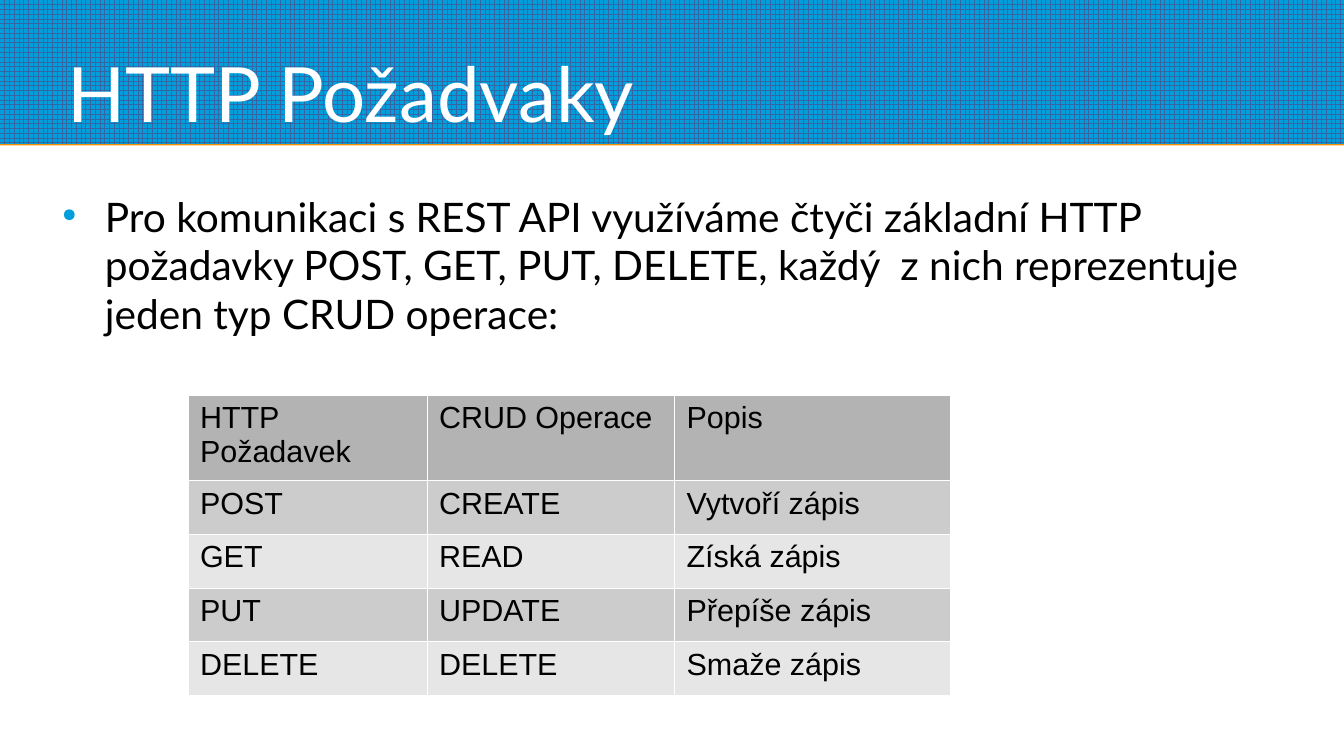
from lxml.etree import SubElement
from pptx import Presentation
from pptx.dml.color import RGBColor
from pptx.enum.dml import MSO_PATTERN
from pptx.enum.shapes import MSO_SHAPE
from pptx.enum.text import MSO_ANCHOR
from pptx.oxml.ns import qn
from pptx.util import Inches, Pt

WHITE = RGBColor(0xFF, 0xFF, 0xFF)
BLACK = RGBColor(0x00, 0x00, 0x00)
BLUE = RGBColor(0x00, 0x9E, 0xDA)
GRID_BLUE = RGBColor(0x34, 0x65, 0xA4)
ORANGE = RGBColor(0xF4, 0x91, 0x00)
HEADER_GRAY = RGBColor(0xB3, 0xB3, 0xB3)
DARK_GRAY = RGBColor(0xCC, 0xCC, 0xCC)
LIGHT_GRAY = RGBColor(0xE6, 0xE6, 0xE6)

TITLE = "HTTP Požadvaky"
INTRODUCTION = (
    "Pro komunikaci s REST API využíváme čtyči základní HTTP požadavky "
    "POST, GET, PUT, DELETE, každý  z nich reprezentuje jeden typ CRUD operace:"
)
REQUESTS = [
    ("HTTP Požadavek", "CRUD Operace", "Popis"),
    ("POST", "CREATE", "Vytvoří zápis"),
    ("GET", "READ", "Získá zápis"),
    ("PUT", "UPDATE", "Přepíše zápis"),
    ("DELETE", "DELETE", "Smaže zápis"),
]
COLUMN_WIDTHS = (1.96, 2.03, 2.26)
ROW_HEIGHT = 0.44


def add_element(parent, tag, **attributes):
    return SubElement(parent, qn(tag), attributes)


def add_run(paragraph, text, size, font_name, color):
    run = paragraph.add_run()
    run.text = text
    run.font.size = Pt(size)
    run.font.name = font_name
    run.font.color.rgb = color


def add_banner(slide, width, height):
    banner = slide.shapes.add_shape(
        MSO_SHAPE.RECTANGLE, 0, 0, Inches(width), Inches(height)
    )
    banner.fill.patterned()
    banner.fill.pattern = MSO_PATTERN.LARGE_GRID
    banner.fill.fore_color.rgb = GRID_BLUE
    banner.fill.back_color.rgb = BLUE
    banner.line.fill.background()
    banner.shadow.inherit = False
    effects = banner.element.spPr.find(qn("a:effectLst"))
    shadow = add_element(
        effects, "a:outerShdw", dist=str(Pt(0.9)), dir="5400000", rotWithShape="0"
    )
    add_element(shadow, "a:srgbClr", val=str(ORANGE))


def add_text(slide, position, text, size, color, anchor):
    box = slide.shapes.add_textbox(*map(Inches, position))
    frame = box.text_frame
    frame.word_wrap = True
    frame.vertical_anchor = anchor
    frame.margin_left = frame.margin_right = 0
    frame.margin_top = frame.margin_bottom = 0
    paragraph = frame.paragraphs[0]
    add_run(paragraph, text, size, "Lato", color)
    return paragraph


def add_bullet(paragraph):
    paragraph.space_after = Pt(10.5)
    properties = paragraph._p.get_or_add_pPr()
    properties.set("marL", str(Inches(0.47)))
    properties.set("indent", str(Inches(-0.35)))
    bullet_color = add_element(properties, "a:buClr")
    add_element(bullet_color, "a:srgbClr", val=str(BLUE))
    add_element(properties, "a:buSzPct", val="45000")
    add_element(properties, "a:buChar", char="●")


def add_borders(cell):
    properties = cell._tc.get_or_add_tcPr()
    for side in ("a:lnL", "a:lnR", "a:lnT", "a:lnB"):
        line = add_element(properties, side, w=str(Pt(0.06)))
        fill = add_element(line, "a:solidFill")
        add_element(fill, "a:srgbClr", val=str(WHITE))


def row_color(index):
    if index == 0:
        return HEADER_GRAY
    return DARK_GRAY if index % 2 else LIGHT_GRAY


def add_request_table(slide, left, top):
    frame = slide.shapes.add_table(
        len(REQUESTS), len(COLUMN_WIDTHS), Inches(left), Inches(top),
        Inches(sum(COLUMN_WIDTHS)), Inches(ROW_HEIGHT * len(REQUESTS)),
    )
    table = frame.table
    table.first_row = False
    table.horz_banding = False
    for column, width in zip(table.columns, COLUMN_WIDTHS):
        column.width = Inches(width)
    for index, (row, texts) in enumerate(zip(table.rows, REQUESTS)):
        row.height = Inches(ROW_HEIGHT)
        for cell, text in zip(row.cells, texts):
            add_borders(cell)
            cell.fill.solid()
            cell.fill.fore_color.rgb = row_color(index)
            add_run(cell.text_frame.paragraphs[0], text, 18, "Arial", BLACK)


def main():
    presentation = Presentation()
    presentation.slide_width = Inches(11.02)
    presentation.slide_height = Inches(6.2)
    slide = presentation.slides.add_slide(presentation.slide_layouts[6])
    add_banner(slide, 11.02, 1.18)
    add_text(slide, (0.55, 0.1, 9.92, 1.03), TITLE, 45, WHITE, MSO_ANCHOR.BOTTOM)
    introduction = add_text(
        slide, (0.39, 1.57, 9.87, 3.94), INTRODUCTION, 24, BLACK, MSO_ANCHOR.TOP
    )
    add_bullet(introduction)
    add_request_table(slide, 1.54, 3.24)
    presentation.save("out.pptx")


main()
